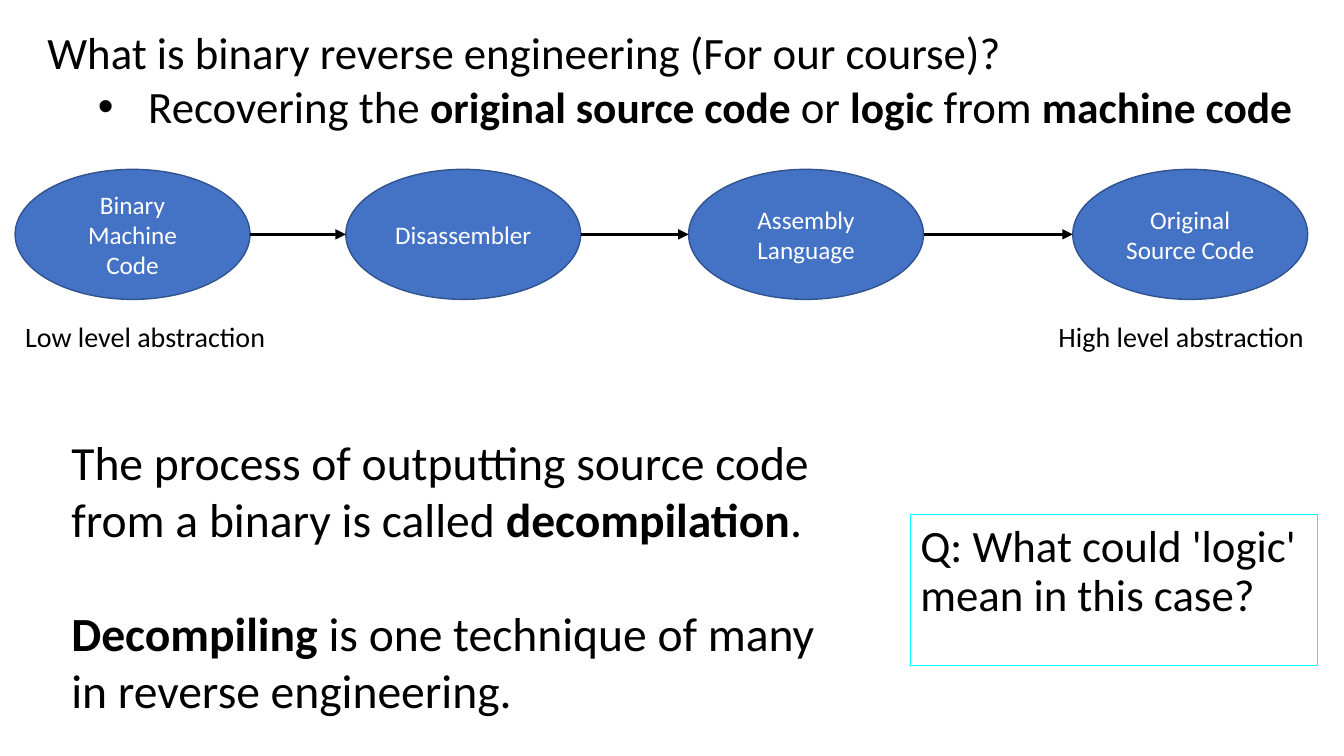
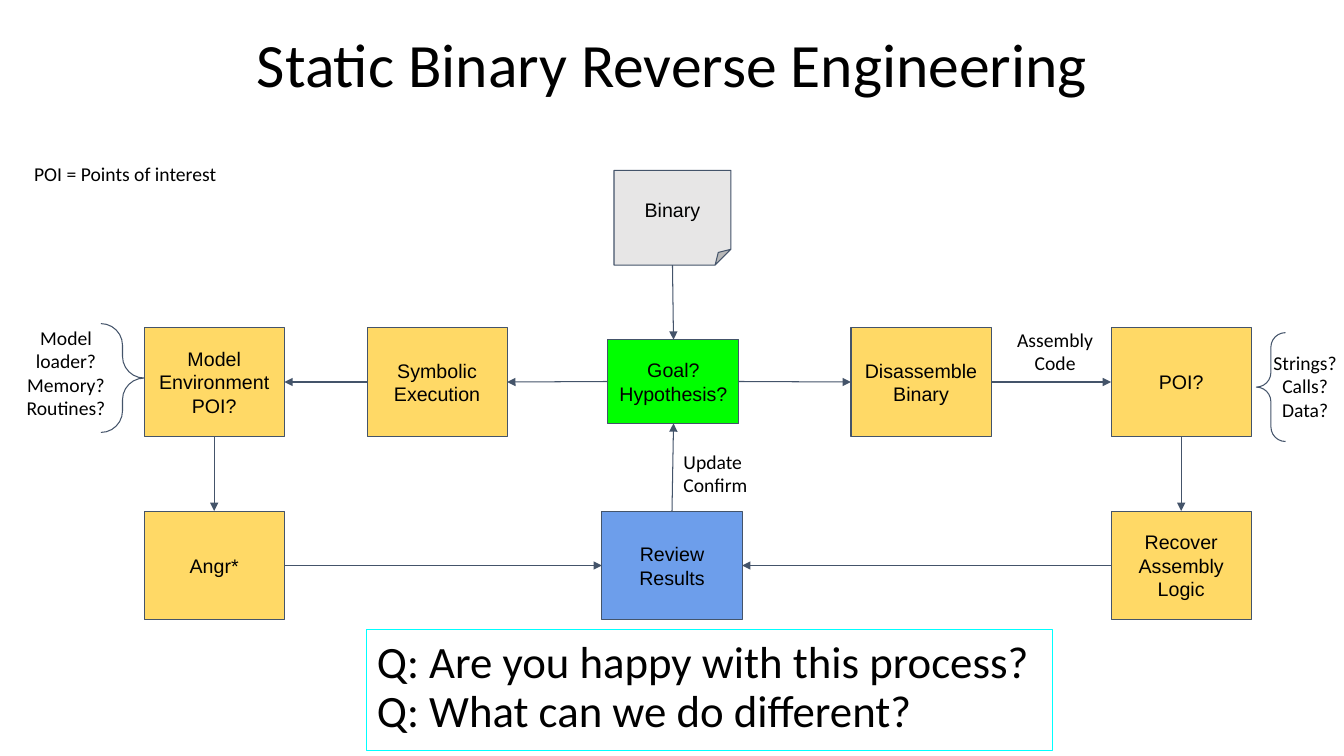
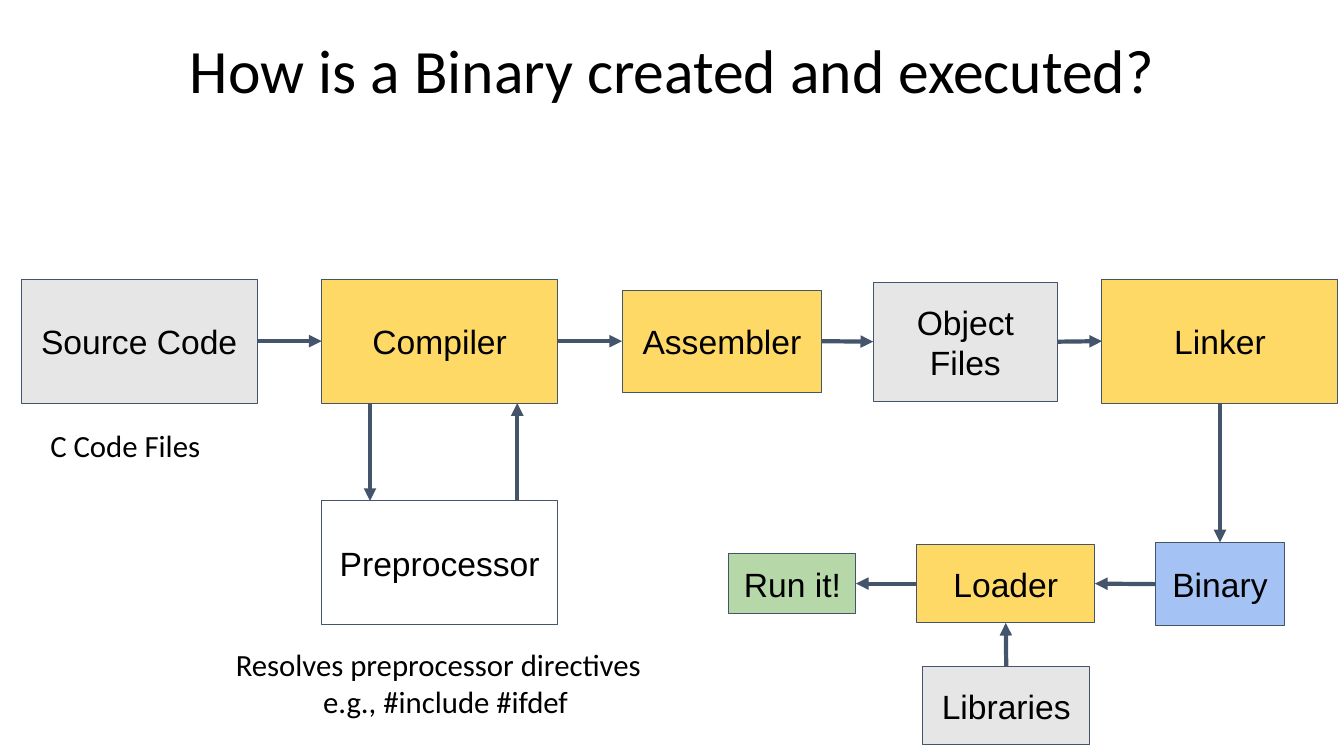
import pptx
import pptx.util
import pptx.dml.color
import pptx.enum.shapes
import pptx.enum.text
import pptx.oxml.ns
import lxml.etree

Inches = pptx.util.Inches
Pt = pptx.util.Pt
RGB = pptx.dml.color.RGBColor
SHAPE = pptx.enum.shapes.MSO_SHAPE
ALIGN = pptx.enum.text.PP_ALIGN
ANCHOR = pptx.enum.text.MSO_ANCHOR
qn = pptx.oxml.ns.qn

BLACK = RGB(0x00, 0x00, 0x00)
WHITE = RGB(0xFF, 0xFF, 0xFF)
SLATE = RGB(0x44, 0x54, 0x6A)
GREY = RGB(0xE7, 0xE6, 0xE6)
YELLOW = RGB(0xFF, 0xD9, 0x66)
LIME = RGB(0x00, 0xFF, 0x00)
BLUE = RGB(0x6D, 0x9E, 0xEB)
PALE_BLUE = RGB(0xA4, 0xC2, 0xF4)
PALE_GREEN = RGB(0xB6, 0xD7, 0xA8)
OVAL_BLUE = RGB(0x44, 0x72, 0xC4)
OVAL_EDGE = RGB(0x31, 0x53, 0x8F)
CYAN = RGB(0x00, 0xFF, 0xFF)

TOP, LEFT, BOTTOM, RIGHT = range(4)

# A paragraph is a string, or a list of (text, bold) runs.
DEFINITION = [("Recovering the ", False), ("original source code", True), (" or ", False),
              ("logic", True), (" from ", False), ("machine code", True)]
DECOMPILING = [
    [("The process of outputting source code from a binary is called ", False),
     ("decompilation", True), (".", False)],
    [("Decompiling", True), (" is one technique of many in reverse engineering.", False)],
]
STAGE_TOP, STAGE_WIDTH, STAGE_HEIGHT = 1.68, 2.33, 1.29
STAGES = [  # left, text
    (0.15, ["Binary", "Machine Code"]),
    (3.43, ["Disassembler"]),
    (6.83, ["Assembly Language"]),
    (10.64, ["Original Source Code"]),
]

STEP_WIDTH, STEP_HEIGHT = 1.39, 1.08
UPPER, LOWER = 3.25, 5.07
PROCESS = {  # name: (left, top, width, height), fill, text
    "binary": ((6.09, 1.69, 1.16, 0.94), GREY, ["Binary"]),
    "goal": ((6.03, 3.37, 1.3, 0.83), LIME, ["Goal?", "Hypothesis?"]),
    "disassemble": ((8.44, UPPER, STEP_WIDTH, STEP_HEIGHT), YELLOW, ["Disassemble", "Binary"]),
    "symbolic": ((3.64, UPPER, STEP_WIDTH, STEP_HEIGHT), YELLOW, ["Symbolic Execution"]),
    "poi": ((11.02, UPPER, STEP_WIDTH, STEP_HEIGHT), YELLOW, ["POI?"]),
    "recover": ((11.02, LOWER, STEP_WIDTH, STEP_HEIGHT), YELLOW, ["Recover Assembly Logic"]),
    "model": ((1.43, UPPER, STEP_WIDTH, STEP_HEIGHT), YELLOW, ["Model Environment", "POI?"]),
    "angr": ((1.43, LOWER, STEP_WIDTH, STEP_HEIGHT), YELLOW, ["Angr*"]),
    "review": ((5.97, LOWER, STEP_WIDTH, STEP_HEIGHT), BLUE, ["Review Results"]),
}
PROCESS_ARROWS = [
    ("binary", BOTTOM, "goal", TOP),
    ("goal", RIGHT, "disassemble", LEFT),
    ("disassemble", RIGHT, "poi", LEFT),
    ("poi", BOTTOM, "recover", TOP),
    ("recover", LEFT, "review", RIGHT),
    ("goal", LEFT, "symbolic", RIGHT),
    ("symbolic", LEFT, "model", RIGHT),
    ("model", BOTTOM, "angr", TOP),
    ("angr", RIGHT, "review", LEFT),
    ("review", TOP, "goal", BOTTOM),
]
PROCESS_LABELS = [  # area, text, alignment, side inset
    ((0.24, 1.51, 2.34, 0.44), ["POI = Points of interest"], ALIGN.LEFT, 0.1),
    ((6.68, 4.36, 1.11, 0.67), ["Update Confirm"], ALIGN.LEFT, 0.1),
    ((9.91, 3.15, 1.11, 0.67), ["Assembly Code"], ALIGN.CENTER, 0.1),
    ((12.56, 3.38, 0.77, 0.91), ["Strings?", "Calls?", "Data?"], ALIGN.CENTER, 0),
    ((0.1, 3.13, 1.11, 1.14), ["Model loader?", "Memory?", "Routines?"], ALIGN.CENTER, 0.1),
]
BRACES = [((12.46, 3.3, 0.29, 1.08), 0), ((1, 3.21, 0.43, 1.08), 180)]

BUILD = {
    "source": ((0.21, 2.77, 2.34, 1.23), GREY, ["Source Code"]),
    "compiler": ((3.19, 2.77, 2.34, 1.23), YELLOW, ["Compiler"]),
    "preprocessor": ((3.19, 4.97, 2.34, 1.23), WHITE, ["Preprocessor"]),
    "assembler": ((6.17, 2.88, 1.98, 1.01), YELLOW, ["Assembler"]),
    "objects": ((8.66, 2.8, 1.83, 1.18), GREY, ["Object Files"]),
    "linker": ((10.93, 2.77, 2.34, 1.23), YELLOW, ["Linker"]),
    "binary": ((11.46, 5.38, 1.28, 0.83), PALE_BLUE, ["Binary"]),
    "loader": ((9.09, 5.4, 1.77, 0.78), YELLOW, ["Loader"]),
    "run": ((7.23, 5.49, 1.26, 0.6), PALE_GREEN, ["Run it!"]),
    "libraries": ((9.15, 6.61, 1.66, 0.78), GREY, ["Libraries"]),
}
BUILD_ARROWS = [
    ("source", RIGHT, "compiler", LEFT),
    ("compiler", RIGHT, "assembler", LEFT),
    ("assembler", RIGHT, "objects", LEFT),
    ("objects", RIGHT, "linker", LEFT),
    ("linker", BOTTOM, "binary", TOP),
    ("binary", LEFT, "loader", RIGHT),
    ("loader", LEFT, "run", RIGHT),
    ("libraries", TOP, "loader", BOTTOM),
]


def write(frame, paras, size, font="Calibri", color=BLACK, align=ALIGN.LEFT,
          anchor=ANCHOR.TOP, spacing=1.0, gap=0, inset=(0.1, 0.1), bold_size=None):
    """Fill a text frame; gap is the space between paragraphs in points."""
    frame.word_wrap = True
    frame.auto_size = pptx.enum.text.MSO_AUTO_SIZE.NONE
    frame.vertical_anchor = anchor
    frame.margin_left = frame.margin_right = Inches(inset[0])
    frame.margin_top = frame.margin_bottom = Inches(inset[1])
    for number, runs in enumerate(paras):
        para = frame.add_paragraph() if number else frame.paragraphs[0]
        para.alignment = align
        para.line_spacing = spacing
        para.space_before = Pt(gap if number else 0)
        for text, bold in [(runs, False)] if isinstance(runs, str) else runs:
            span = para.add_run()
            span.text = text
            span.font.name = font
            span.font.size = Pt(bold_size if bold and bold_size else size)
            span.font.bold = bold
            span.font.color.rgb = color


def place(shape, area):
    shape.left, shape.top, shape.width, shape.height = map(Inches, area)


def add_page(deck, layout, title, area, size=44, **style):
    page = deck.slides.add_slide(deck.slide_layouts[layout])
    place(page.shapes.title, area)
    write(page.shapes.title.text_frame, [title], size, inset=(0.1, 0.05), **style)
    return page


def add_label(page, area, paras, size, **style):
    box = page.shapes.add_textbox(*map(Inches, area))
    write(box.text_frame, paras, size, **style)
    return box


def add_outline(page, kind, area, fill=None, edge=SLATE, weight=0.75):
    shape = page.shapes.add_shape(kind, *map(Inches, area))
    shape.shadow.inherit = False
    if fill is None:
        shape.fill.background()
    else:
        shape.fill.solid()
        shape.fill.fore_color.rgb = fill
    shape.line.color.rgb = edge
    shape.line.width = Pt(weight)
    return shape


def add_arrow(page, start, end, color, weight):
    arrow = page.shapes.add_connector(pptx.enum.shapes.MSO_CONNECTOR.STRAIGHT,
                                      *map(Inches, start + end))
    arrow.line.color.rgb = color
    arrow.line.width = Pt(weight)
    lxml.etree.SubElement(arrow.line._get_or_add_ln(), qn("a:tailEnd"), type="triangle")
    lxml.etree.SubElement(arrow._element.spPr, qn("a:effectLst"))
    return arrow


def add_flowchart(page, nodes, arrows, size, weight, kinds):
    """Draw named boxes and join the middles of their sides."""
    boxes = {}
    for name, (area, fill, paras) in nodes.items():
        boxes[name] = add_outline(page, kinds.get(name, SHAPE.RECTANGLE), area, fill)
        write(boxes[name].text_frame, paras, size, font="Arial",
              align=ALIGN.CENTER, anchor=ANCHOR.MIDDLE)
    for source, source_side, target, target_side in arrows:
        arrow = add_arrow(page, (0, 0), (0, 0), SLATE, weight)
        arrow.begin_connect(boxes[source], source_side)
        arrow.end_connect(boxes[target], target_side)


def add_question(page, area, paras):
    box = add_outline(page, SHAPE.RECTANGLE, area, edge=CYAN)
    write(box.text_frame, paras, 32, spacing=0.9)


def add_definition_page(deck):
    page = add_page(deck, 1, "What is binary reverse engineering (For our course)?",
                    (0.37, 0.19, 10.9, 0.6), size=32)
    body = page.placeholders[1]
    place(body, (0.37, 0.73, 12.96, 0.65))
    write(body.text_frame, [DEFINITION], 32, inset=(0.1, 0.05), bold_size=31)
    props = body.text_frame.paragraphs[0]._p.get_or_add_pPr()
    props.set("marL", str(Inches(1)))
    props.set("indent", str(Inches(-0.5)))
    lxml.etree.SubElement(props, qn("a:buFont"), typeface="Arial")
    lxml.etree.SubElement(props, qn("a:buChar"), char="•")

    for left, paras in STAGES:
        oval = add_outline(page, SHAPE.OVAL, (left, STAGE_TOP, STAGE_WIDTH, STAGE_HEIGHT),
                           OVAL_BLUE, OVAL_EDGE, 1)
        write(oval.text_frame, paras, 18, color=WHITE, align=ALIGN.CENTER,
              anchor=ANCHOR.MIDDLE, inset=(0.1, 0.05))
    middle = STAGE_TOP + STAGE_HEIGHT / 2
    for (left, _), (following, _) in zip(STAGES, STAGES[1:]):
        add_arrow(page, (left + STAGE_WIDTH, middle), (following, middle), BLACK, 2.5)

    add_label(page, (0.15, 3.07, 3.39, 0.38), ["Low level abstraction"], 20)
    add_label(page, (10.4, 3.07, 2.67, 0.38), ["High level abstraction"], 20)
    add_label(page, (0.61, 4.19, 7.77, 2.92), DECOMPILING, 34, gap=41)
    add_question(page, (9.03, 5.1, 4.04, 1.5), ["Q: What could 'logic' mean in this case?"])


def add_process_page(deck):
    page = add_page(deck, 5, "Static Binary Reverse Engineering", (0.92, 0, 11.5, 1.34),
                    align=ALIGN.CENTER, anchor=ANCHOR.MIDDLE, spacing=0.9)
    add_flowchart(page, PROCESS, PROCESS_ARROWS, 14, 0.75, {"binary": SHAPE.FOLDED_CORNER})
    add_question(page, (3.64, 6.25, 6.8, 1.2),
                 ["Q: Are you happy with this process?", "Q: What can we do different?"])
    for area, paras, align, side in PROCESS_LABELS:
        add_label(page, area, paras, 14, align=align, inset=(side, 0.1))
    for area, turn in BRACES:
        brace = add_outline(page, SHAPE.LEFT_BRACE, area)
        brace.adjustments[0] = 0.5
        brace.rotation = turn


def add_build_page(deck):
    page = add_page(deck, 5, "How is a Binary created and executed?", (0.92, 0, 11.5, 1.45),
                    align=ALIGN.CENTER, anchor=ANCHOR.MIDDLE, spacing=0.9)
    add_flowchart(page, BUILD, BUILD_ARROWS, 24, 3, {})
    add_arrow(page, (3.67, 4), (3.67, 4.97), SLATE, 3)
    add_arrow(page, (5.13, 4.97), (5.13, 4), SLATE, 3)
    add_label(page, (0.4, 4.13, 1.98, 0.57), ["C Code Files"], 22)
    directives = add_label(page, (2.24, 6.31, 4.36, 0.94),
                           ["Resolves preprocessor directives", "e.g., #include #ifdef"], 22)
    directives.text_frame.paragraphs[1].alignment = ALIGN.CENTER


def main():
    deck = pptx.Presentation()
    deck.slide_width, deck.slide_height = Inches(13.33), Inches(7.5)
    add_definition_page(deck)
    add_process_page(deck)
    add_build_page(deck)
    deck.save("out.pptx")


if __name__ == "__main__":
    main()
